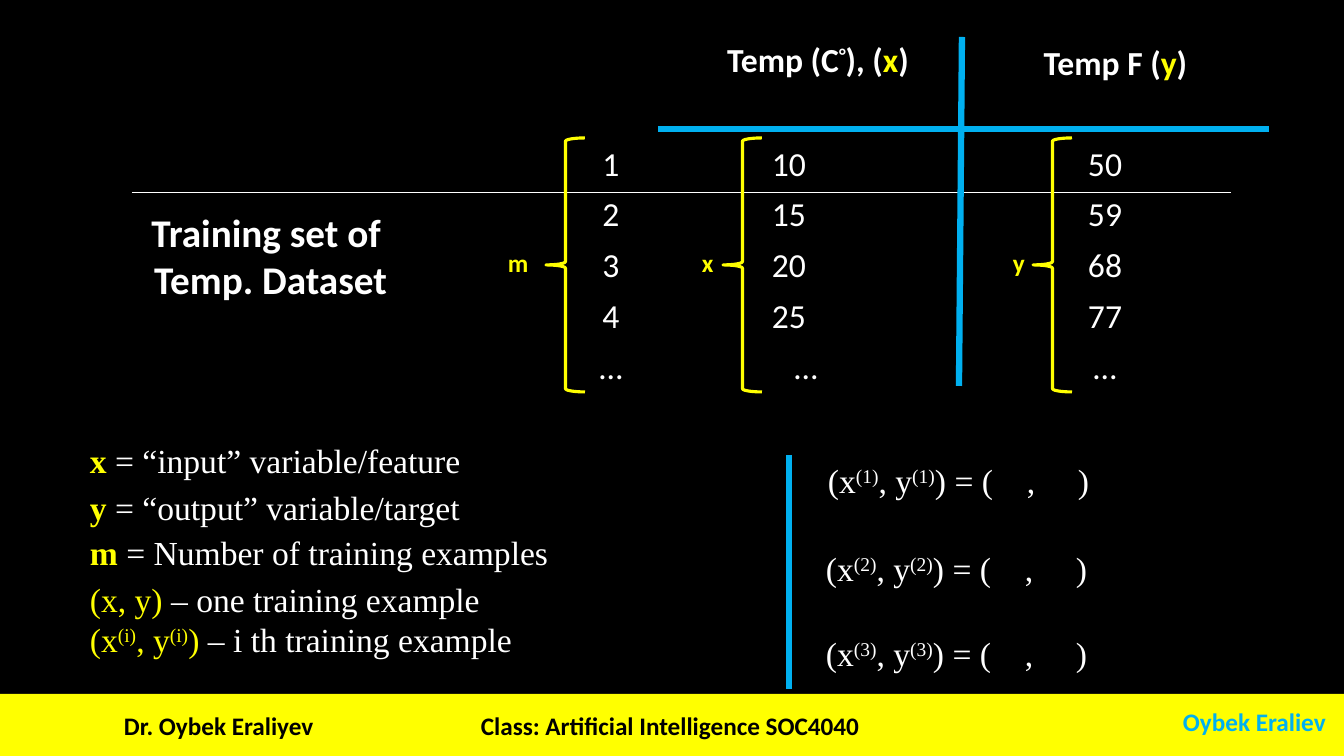
from lxml import etree
from pptx import Presentation
from pptx.dml.color import RGBColor
from pptx.enum import shapes, text
from pptx.oxml import ns
from pptx.util import Pt

PX = 12192000 / 1344
BLACK = RGBColor(0x00, 0x00, 0x00)
WHITE = RGBColor(0xFF, 0xFF, 0xFF)
YELLOW = RGBColor(0xFF, 0xFF, 0x00)
BLUE = RGBColor(0x00, 0xB0, 0xF0)
SANS = "Calibri"
SERIF = "Times New Roman"
CENTER = text.PP_ALIGN.CENTER
LEFT = text.PP_ALIGN.LEFT


def px(*lengths):
    """Turn pixel lengths into EMU."""
    return [round(length * PX) for length in lengths]


def add_text(slide, box, paragraphs, size=24, font=SANS, align=LEFT, wrap=True, tabs=()):
    """Write paragraphs of (text, colour, bold, raised) runs into a box."""
    frame = slide.shapes.add_textbox(*px(*box)).text_frame
    frame.word_wrap = wrap
    frame.auto_size = text.MSO_AUTO_SIZE.SHAPE_TO_FIT_TEXT
    for number, runs in enumerate(paragraphs):
        paragraph = frame.add_paragraph() if number else frame.paragraphs[0]
        paragraph.alignment = align
        if tabs:
            tab_list = etree.SubElement(paragraph._p.get_or_add_pPr(), ns.qn("a:tabLst"))
            for stop in px(*tabs):
                etree.SubElement(tab_list, ns.qn("a:tab"), pos=str(stop), algn="l")
        for words, colour, bold, raised in runs:
            run = paragraph.add_run()
            run.text = words
            run.font.size = Pt(size)
            run.font.name = font
            run.font.bold = bold
            run.font.color.rgb = colour
            if raised:
                run._r.get_or_add_rPr().set("baseline", "30000")


def add_line(slide, start, end, colour=BLUE, width=4.5):
    """Draw a straight line between two points."""
    line = slide.shapes.add_connector(shapes.MSO_CONNECTOR.STRAIGHT, *px(*start, *end))
    line.line.color.rgb = colour
    line.line.width = Pt(width)
    etree.SubElement(line._element.spPr, ns.qn("a:effectLst"))


def example_pair(index, colour):
    """Return the runs of an (x, y) pair with raised indices, still open."""
    return [("(x", colour, False, False), (f"({index})", colour, False, True),
            (", y", colour, False, False), (f"({index})", colour, False, True)]


def add_footer(slide, box):
    """Draw the yellow band with lecturer, class and author."""
    left, top, width, height = box
    band = slide.shapes.add_shape(shapes.MSO_SHAPE.RECTANGLE, *px(*box))
    band.shadow.inherit = False
    band.fill.solid()
    band.fill.fore_color.rgb = YELLOW
    band.line.fill.background()
    for words, x, y, label_width, colour in (
            ("Dr. Oybek Eraliyev", 114, 11, 212, BLACK),
            ("Class: Artificial Intelligence SOC4040", 471, 11, 402, BLACK),
            ("Oybek Eraliev", 1173, 7, 164, BLUE)):
        add_text(slide, (left + x, top + y, label_width, 40),
                 [[(words, colour, True, False)]], size=18, wrap=False)


def add_title(slide, box):
    """Write the slide title with the thin rule above it."""
    left, top, width, height = box
    add_line(slide, (left - 8, top - 11), (left + 1091, top - 11), WHITE, 0.5)
    add_text(slide, box, [[("Training set of ", WHITE, True, False)],
                          [("Temp. Dataset", WHITE, True, False)]],
             size=28, align=CENTER, wrap=False)


def add_column(slide, box, symbol, symbol_offset, values, value_offset, align):
    """Stack values beside a brace that carries the column's symbol."""
    left, top, width, height = box
    brace = slide.shapes.add_shape(shapes.MSO_SHAPE.LEFT_BRACE, *px(*box))
    brace.shadow.inherit = False
    brace.fill.background()
    brace.line.color.rgb = YELLOW
    brace.line.width = Pt(2.25)
    add_text(slide, (left - symbol_offset, top + 104, symbol_offset + 8, 40),
             [[(symbol, YELLOW, True, False)]], size=18)
    for row, value in enumerate(values):
        add_text(slide, (left + value_offset, top + row * 203 // 4, 88, 50),
                 [[(value, WHITE, False, False)]],
                 align=CENTER if value == "…" else align)


def add_dataset(slide, box):
    """Draw the temperature dataset with its crossing rules and headings."""
    left, top, width, height = box
    add_line(slide, (left + 112, top + 92), (left + 723, top + 92))
    add_line(slide, (left + 416, top), (left + 413, top + height))
    for label, symbol, x, y, heading_width in (
            ([("Temp (C", False), ("°", True), ("), (", False)], "x", 130, -3, 284),
            ([("Temp F (", False)], "y", 426, 0, 287)):
        runs = [(words, WHITE, True, raised) for words, raised in label]
        runs += [(symbol, YELLOW, True, False), (")", WHITE, True, False)]
        add_text(slide, (left + x, top + y, heading_width, 50), [runs], align=CENTER)
    for x, symbol, symbol_offset, values, value_offset, align in (
            (0, "m", 48, ("1", "2", "3", "4", "…"), 21, CENTER),
            (177, "x", 31, ("10", "15", "20", "25", "…"), 39, LEFT),
            (487, "y", 30, ("50", "59", "68", "77", "…"), 28, CENTER)):
        add_column(slide, (left + x, top + 101, 39, 254), symbol, symbol_offset,
                   values, value_offset, align)


def add_notation(slide, box):
    """Explain the symbols, one line each."""
    left, top, width, height = box
    for y, symbol, meaning in ((0, "x", " = “input” variable/feature"),
                               (47, "y", " = “output” variable/target"),
                               (92, "m", " = Number of training examples")):
        add_text(slide, (left, top + y, width, 50),
                 [[(symbol, YELLOW, True, False), (meaning, WHITE, False, False)]], font=SERIF)
    one_example = [("(x, y)", YELLOW, False, False),
                   (" – one training example", WHITE, False, False)]
    ith_example = example_pair("i", YELLOW) + [(") ", YELLOW, False, False),
                                               ("– i th training example", WHITE, False, False)]
    add_text(slide, (left, top + 139, width, 92), [one_example, ith_example], font=SERIF)


def add_exercises(slide, box):
    """List the pairs to fill in beside a vertical rule."""
    left, top, width, height = box
    add_line(slide, (left, top), (left, top + height))
    for index, x, y in ((1, 29, 0), (2, 27, 88), (3, 27, 173)):
        runs = example_pair(index, WHITE) + [(") = (\t,\t)", WHITE, False, False)]
        add_text(slide, (left + x, top + y, width, 50), [runs], font=SERIF, tabs=(199, 250))


def main():
    """Build and save the slide."""
    deck = Presentation()
    deck.slide_width, deck.slide_height = px(1344, 756)
    slide = deck.slides.add_slide(deck.slide_layouts[6])
    slide.background.fill.solid()
    slide.background.fill.fore_color.rgb = BLACK
    add_footer(slide, (0, 694, 1344, 62))
    add_title(slide, (140, 203, 261, 105))
    add_dataset(slide, (546, 37, 723, 349))
    add_notation(slide, (80, 435, 672, 231))
    add_exercises(slide, (789, 455, 340, 234))
    deck.save("out.pptx")


if __name__ == "__main__":
    main()
